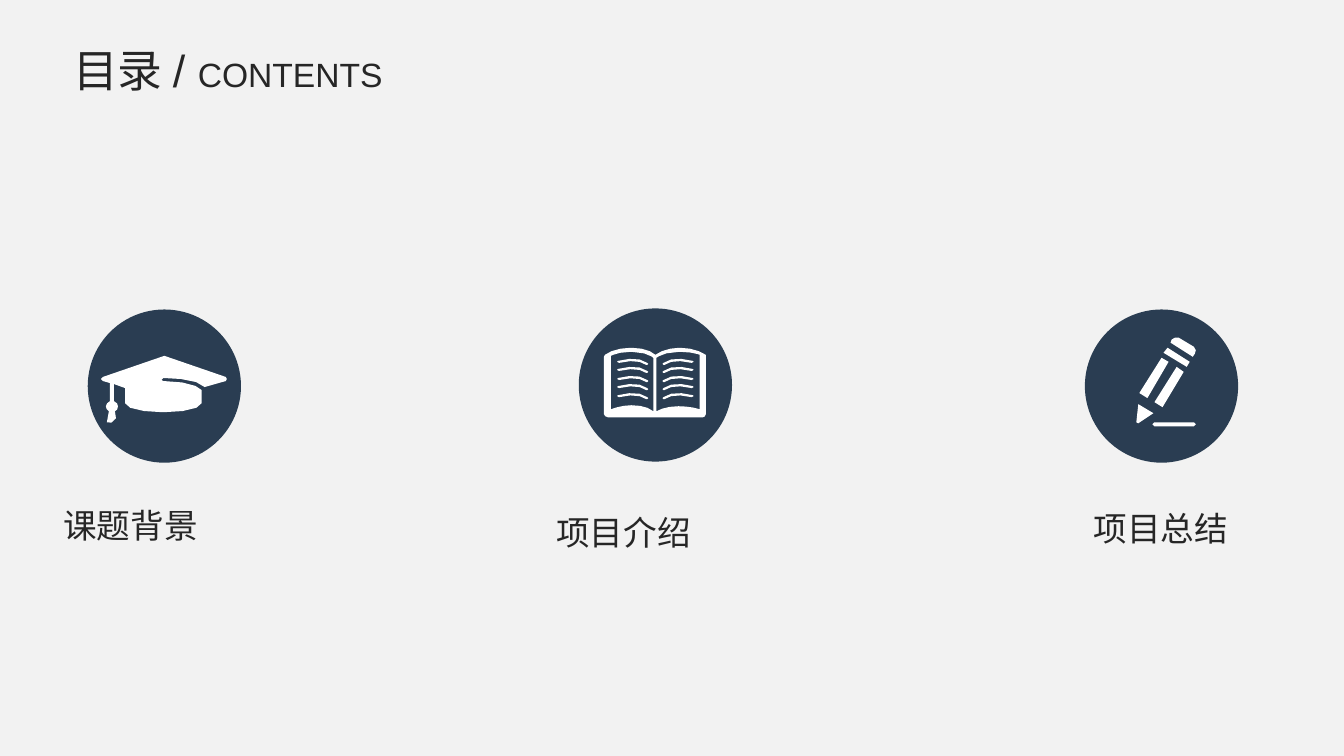
import math

from lxml import etree
from pptx import Presentation
from pptx import util as u
from pptx.dml.color import RGBColor
from pptx.enum import shapes, text
from pptx.oxml.ns import qn

PX = 9144  # EMU per px, 100 px to the inch
COLORS = {"paper": "F2F2F2", "navy": "2A3D52", "white": "FFFFFF", "ink": "262626"}
CJK_FONT = "Noto Sans CJK SC"
BADGE_SIZE = 152

# Outlines: a pair is a corner, six numbers are a cubic curve from the last point
CAP = [[
    (102, 374), (163, 353), (224, 374),
    (225, 375, 225, 375, 225, 376), (225, 377, 225, 378, 224, 378), (203, 384),
    (199, 378, 179, 375, 162, 375), (161, 375, 160, 375, 160, 377),
    (160, 378, 161, 378, 162, 378), (183, 378, 198, 383, 200, 387), (200, 400),
    (200, 405, 183, 409, 162, 409), (141, 409, 124, 405, 124, 400),
    (124, 385), (113, 381), (113, 398),
    (116, 399, 117, 401, 117, 403), (117, 406, 116, 407, 114, 408), (115, 415),
    (116, 418, 105, 422, 106, 419), (108, 408),
    (106, 407, 105, 405, 105, 403), (105, 401, 107, 399, 109, 398),
    (109, 380), (102, 378),
    (101, 378, 100, 377, 100, 376), (100, 375, 101, 375, 102, 374),
]]
BOOK = [
    [(700, 352), (694, 348, 685, 345, 674, 345), (665, 345, 655, 348, 650, 352),
     (646, 348, 637, 345, 626, 345), (615, 345, 605, 348, 600, 352),
     (600, 353, 599, 353, 599, 354), (599, 411),
     (599, 412, 601, 414, 603, 414), (697, 414),
     (698, 414, 700, 413, 700, 411), (700, 354)],
    [(648, 355), (648, 408), (643, 404, 636, 402, 626, 402),
     (619, 402, 611, 404, 606, 406), (606, 353),
     (606, 353, 613, 349, 626, 349), (642, 349, 648, 355, 648, 355)],
    [(694, 352), (694, 406), (688, 404, 680, 403, 673, 403),
     (664, 403, 656, 405, 651, 408), (651, 355),
     (651, 355, 658, 349, 674, 349), (687, 349, 694, 352, 694, 352)],
]
BOOK_SPINE = 650
TEXT_LINE = [
    (642, 362), (641, 362), (636, 358, 626, 357, 614, 360),
    (612, 359), (613, 358), (624, 355, 636, 355, 642, 360), (643, 361),
]
PENCIL = [
    [(1162, 337), (1164, 335, 1167, 334, 1169, 335), (1184, 344),
     (1186, 346, 1187, 349, 1185, 351), (1183, 354), (1161, 340)],
    [(1158, 345), (1154, 350), (1177, 364), (1180, 359)],
    [(1127, 419), (1129, 401), (1144, 410), (1129, 420),
     (1128, 421, 1127, 421, 1127, 419)],
    [(1130, 390), (1152, 355), (1159, 359), (1138, 395)],
    [(1145, 399), (1167, 364), (1174, 369), (1153, 404)],
    [(1145, 419), (1184, 419), (1185, 419, 1186, 420, 1186, 421),
     (1186, 422, 1185, 423, 1184, 423), (1145, 423),
     (1143, 423, 1143, 422, 1143, 421), (1143, 420, 1143, 419, 1145, 419)],
]


def color(name):
    return RGBColor.from_string(COLORS[name])


def paint(shape, fill):
    shape.shadow.inherit = False
    shape.fill.solid()
    shape.fill.fore_color.rgb = color(fill)
    shape.line.fill.background()


def flatten(outline):
    """Turn corners and cubic curves into EMU points, more for longer curves."""
    points = []
    for step in outline:
        if len(step) == 2:
            points.append(step)
            continue
        knots = [points[-1], step[:2], step[2:4], step[4:]]
        span = math.dist(knots[0], knots[3])
        pieces = 1 if span < 4 else 2 if span < 12 else 3
        for i in range(1, pieces + 1):
            t = i / pieces
            weights = ((1 - t) ** 3, 3 * t * (1 - t) ** 2, 3 * t * t * (1 - t), t ** 3)
            points.append(tuple(sum(w * k[axis] for w, k in zip(weights, knots))
                                for axis in (0, 1)))
    return [(x * PX, y * PX) for x, y in points]


def add_outline(group, outlines):
    first, *others = [flatten(outline) for outline in outlines]
    builder = group.shapes.build_freeform(*first[0], scale=1.0)
    builder.add_line_segments(first[1:], close=True)
    for points in others:
        builder.move_to(*points[0])
        builder.add_line_segments(points[1:], close=True)
    paint(builder.convert_to_shape(), "white")


def add_badge(slide, left, top, outlines):
    badge = slide.shapes.add_group_shape()
    disc = badge.shapes.add_shape(shapes.MSO_SHAPE.OVAL, left * PX, top * PX,
                                  BADGE_SIZE * PX, BADGE_SIZE * PX)
    paint(disc, "navy")
    add_outline(badge, outlines)
    return badge


def add_book_lines(badge):
    for row in range(5):
        drop = row * 17 // 2
        left_line = [tuple(v + drop * (i % 2) for i, v in enumerate(step))
                     for step in TEXT_LINE]
        right_line = [tuple(v if i % 2 else 2 * BOOK_SPINE - v for i, v in enumerate(step))
                      for step in left_line]
        for line in (left_line, right_line):
            add_outline(badge, [line])


def style_run(run, size, font):
    run.font.size = u.Pt(size)
    run.font.name = font
    run.font.color.rgb = color("ink")
    east_asian = etree.SubElement(run._r.get_or_add_rPr(), qn("a:ea"))
    east_asian.set("typeface", CJK_FONT)


def add_text(slide, box, wording, size, font=CJK_FONT, wrap=True):
    frame = slide.shapes.add_textbox(*(length * PX for length in box)).text_frame
    frame.word_wrap = wrap
    frame.auto_size = text.MSO_AUTO_SIZE.SHAPE_TO_FIT_TEXT
    paragraph = frame.paragraphs[0]
    paragraph.text = wording
    style_run(paragraph.runs[0], size, font)
    return paragraph


def main():
    deck = Presentation()
    deck.slide_width, deck.slide_height = 1333 * PX, 750 * PX
    slide = deck.slides.add_slide(deck.slide_layouts[6])
    slide.background.fill.solid()
    slide.background.fill.fore_color.rgb = color("paper")

    # Icon badges
    add_badge(slide, 87, 307, CAP)
    add_book_lines(add_badge(slide, 574, 306, BOOK))
    add_badge(slide, 1076, 307, PENCIL)

    # Section names
    add_text(slide, (53, 496, 334, 50), "课题背景", 24)
    add_text(slide, (542, 503, 153, 50), "项目介绍", 24, wrap=False)
    add_text(slide, (1075, 499, 153, 50), "项目总结", 24, wrap=False)

    # Heading
    heading = add_text(slide, (26, 37, 400, 64), "目录 / ", 32, "Arial")
    heading.alignment = text.PP_ALIGN.CENTER
    english = heading.add_run()
    english.text = "CONTENTS"
    style_run(english, 24, "Arial")

    deck.save("out.pptx")


if __name__ == "__main__":
    main()
